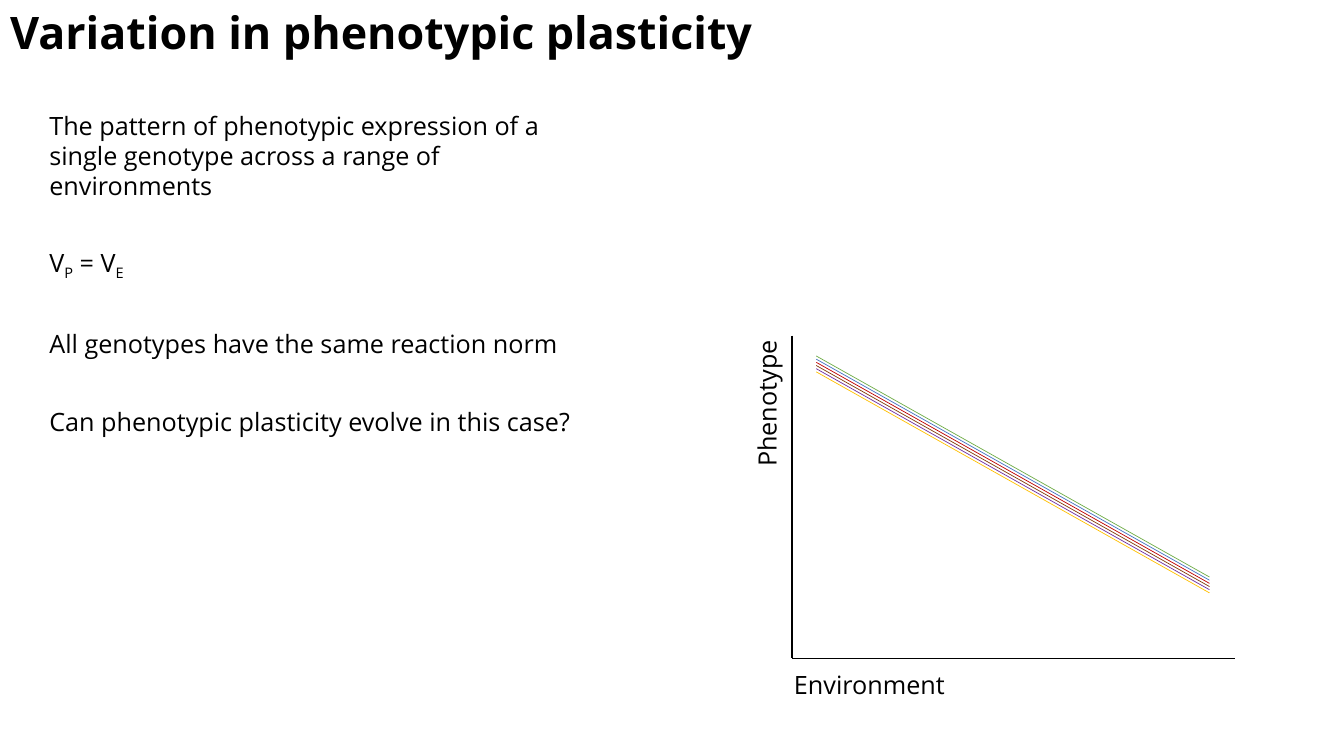
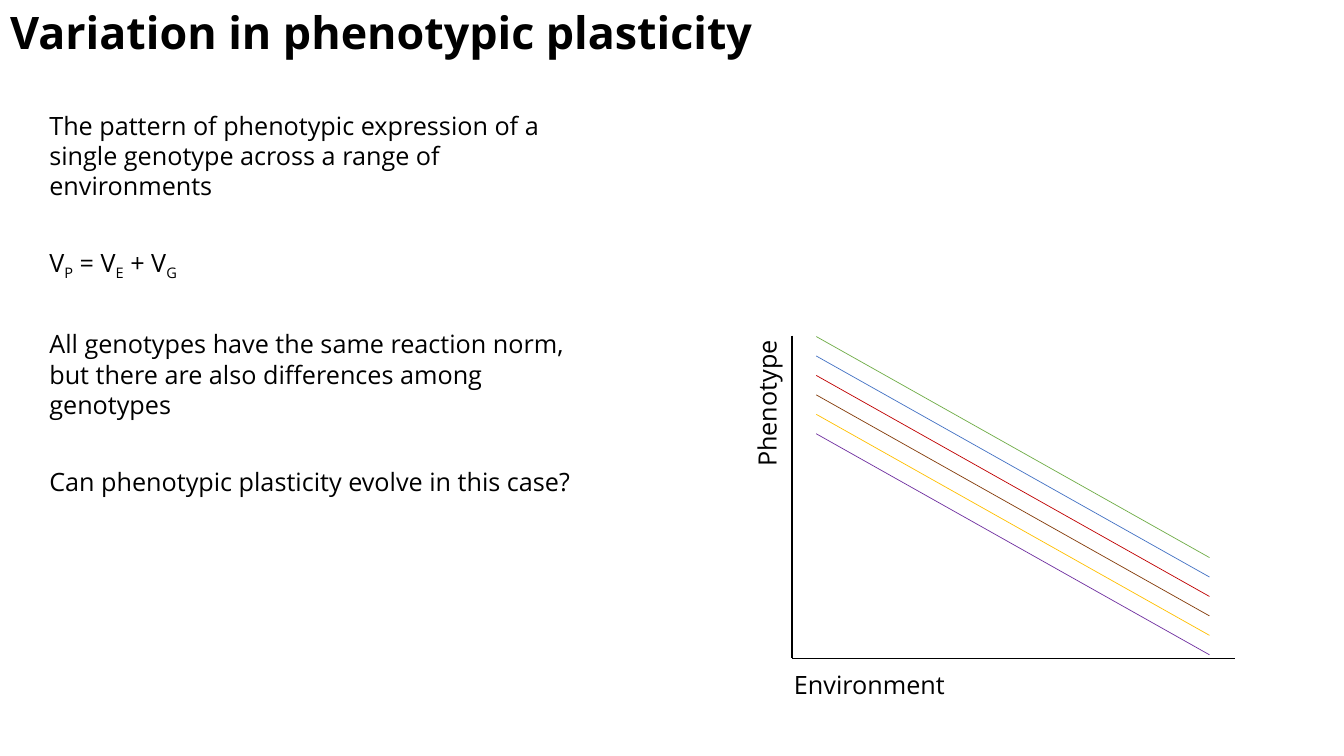
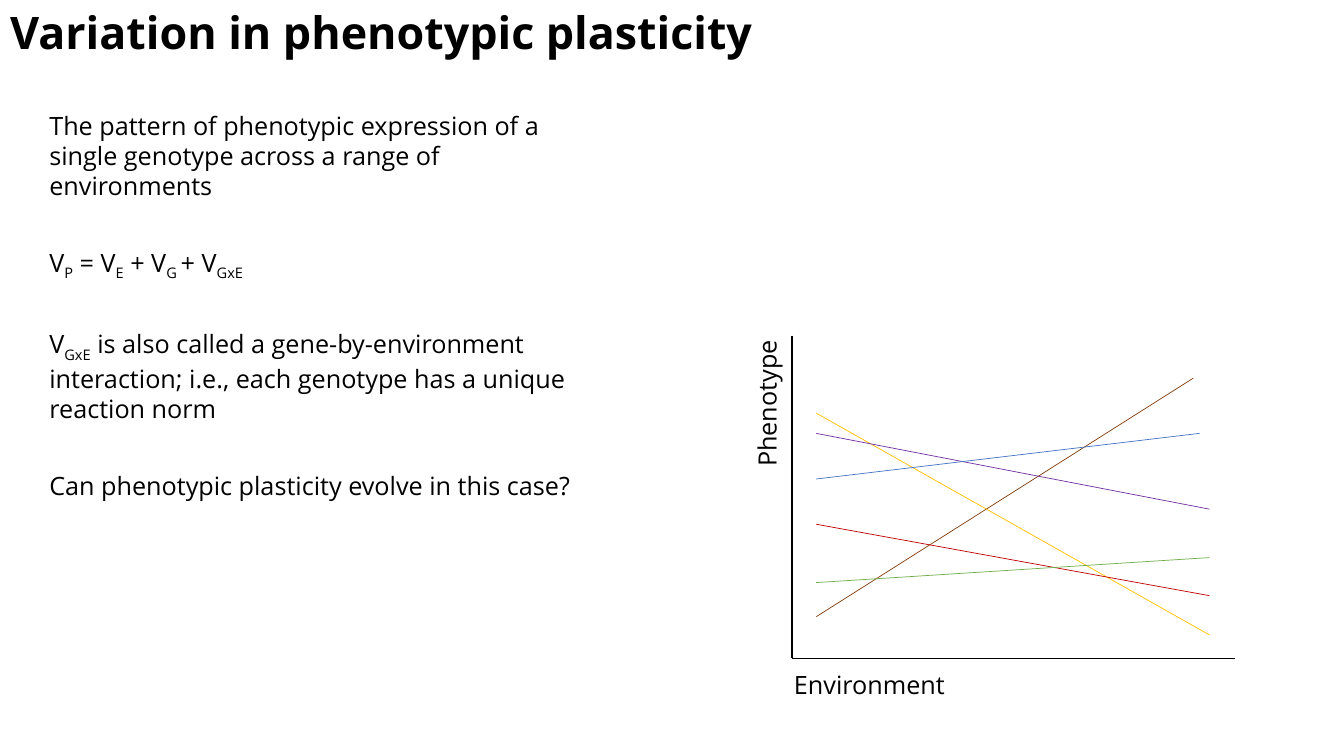
"""Build three slides on variation in phenotypic plasticity."""
import pptx
import pptx.dml.color
import pptx.enum.shapes
import pptx.enum.text
import pptx.oxml.ns
import pptx.util
from lxml import etree

Cm = pptx.util.Cm
Pt = pptx.util.Pt
RGB = pptx.dml.color.RGBColor
ALIGN = pptx.enum.text.PP_ALIGN
qn = pptx.oxml.ns.qn

BLACK = RGB(0x00, 0x00, 0x00)
BROWN = RGB(0x84, 0x3C, 0x0B)
GOLD = RGB(0xFF, 0xC0, 0x00)
PURPLE = RGB(0x70, 0x30, 0xA0)
BLUE = RGB(0x44, 0x72, 0xC4)
RED = RGB(0xC0, 0x00, 0x00)
GREEN = RGB(0x70, 0xAD, 0x47)

TITLE = "Variation in phenotypic plasticity"
INTRO = ("The pattern of phenotypic expression of a single genotype "
         "across a range of environments")
QUERY = "Can phenotypic plasticity evolve in this case?"

HEAD = {"name": "Open Sans", "size": Pt(32), "bold": True}
TEXT = {"name": "Open Sans", "size": Pt(18), "bold": False}
FRAME = {"auto_size": pptx.enum.text.MSO_AUTO_SIZE.NONE,
         "vertical_anchor": pptx.enum.text.MSO_ANCHOR.TOP}
LEFT = {"alignment": ALIGN.LEFT, "line_spacing": 1.0, "space_before": Pt(0)}
LIST = {**LEFT, "space_after": Pt(33.5)}
RIGHT = {**LEFT, "alignment": ALIGN.RIGHT}

AXIS_X, AXIS_Y = 19.96, 16.59
START, END = 20.57, 30.48
DROP = 5.57


def apply(item, values):
    """Set each named value on an object."""
    for name, value in values.items():
        setattr(item, name, value)


def place(shape, left, top, width, height):
    """Move and size a shape, in centimetres."""
    apply(shape, {"left": Cm(left), "top": Cm(top),
                  "width": Cm(width), "height": Cm(height)})


def write(shape, lines, font, para, wrap=True):
    """Fill a shape with paragraphs; text between bars is subscript."""
    frame = shape.text_frame
    apply(frame, {**FRAME, "word_wrap": wrap})
    for row, line in enumerate(lines):
        item = frame.add_paragraph() if row else frame.paragraphs[0]
        props = item._p.get_or_add_pPr()
        props.set("marL", "0")
        props.set("indent", "0")
        etree.SubElement(props, qn("a:buNone"))
        apply(item, para)
        for part, text in enumerate(line.split("|")):
            if not text:
                continue
            run = item.add_run()
            run.text = text
            apply(run.font, font)
            run.font.color.rgb = BLACK
            if part % 2:
                run._r.get_or_add_rPr().set("baseline", "-25000")


def label(slide, text, box, para, turn=0):
    """Add an axis label."""
    shape = slide.shapes.add_textbox(0, 0, 0, 0)
    place(shape, *box)
    shape.rotation = turn
    write(shape, [text], TEXT, para)


def rule(slide, ends, color, width):
    """Draw a straight line between two points."""
    kind = pptx.enum.shapes.MSO_CONNECTOR.STRAIGHT
    line = slide.shapes.add_connector(kind, *[Cm(end) for end in ends])
    line.line.color.rgb = color
    line.line.width = Pt(width)
    etree.SubElement(line._element.spPr, qn("a:effectLst"))


def plot(slide, norms):
    """Draw the axes, their labels and the reaction norms."""
    rule(slide, (AXIS_X, 8.46, AXIS_X, AXIS_Y), BLACK, 1)
    rule(slide, (31.12, AXIS_Y, AXIS_X, AXIS_Y), BLACK, 1)
    label(slide, "Environment", (19.76, 16.74, 7.24, 1.02), LEFT)
    label(slide, "Phenotype", (15.7, 11.43, 7.24, 1.02), RIGHT, 270)
    for color, first, last, end in norms:
        rule(slide, (START, first, end, last), color, 0.5)


def fan(top, step, colors):
    """Return parallel norms at equal gaps from the top down."""
    tops = [top + step * row for row in range(len(colors))]
    return [(color, y, y + DROP, END) for color, y in zip(colors, tops)]


def build(deck, sums, note, norms):
    """Add one slide with its title, list and plot."""
    slide = deck.slides.add_slide(deck.slide_layouts[1])
    title, body = slide.placeholders
    place(title, 0, 0, 19.43, 1.63)
    write(title, [TITLE], HEAD, LEFT, False)
    place(body, 0.99, 2.64, 13.92, 10)
    write(body, [INTRO, sums, note, QUERY], TEXT, LIST)
    plot(slide, norms)


def main():
    """Build and save the deck."""
    deck = pptx.Presentation()
    apply(deck, {"slide_width": Cm(33.87), "slide_height": Cm(19.05)})
    same = "All genotypes have the same reaction norm"
    build(deck, "V|P| = V|E", same,
          fan(8.97, 0.08, [GREEN, BLUE, RED, BROWN, PURPLE, GOLD]))
    build(deck, "V|P| = V|E| + V|G",
          same + ", but there are also differences among genotypes",
          fan(8.48, 0.49, [GREEN, BLUE, RED, BROWN, GOLD, PURPLE]))
    build(deck, "V|P| = V|E| + V|G |+ V|GxE",
          "V|GxE| is also called a gene-by-environment interaction; "
          "i.e., each genotype has a unique reaction norm",
          [(BROWN, 15.54, 9.53, 30.07), (GOLD, 10.41, 16, END),
           (PURPLE, 10.92, 12.83, END), (BLUE, 12.07, 10.92, 30.23),
           (RED, 13.21, 15.01, END), (GREEN, 14.68, 14.05, END)])
    deck.save("out.pptx")


if __name__ == "__main__":
    main()
